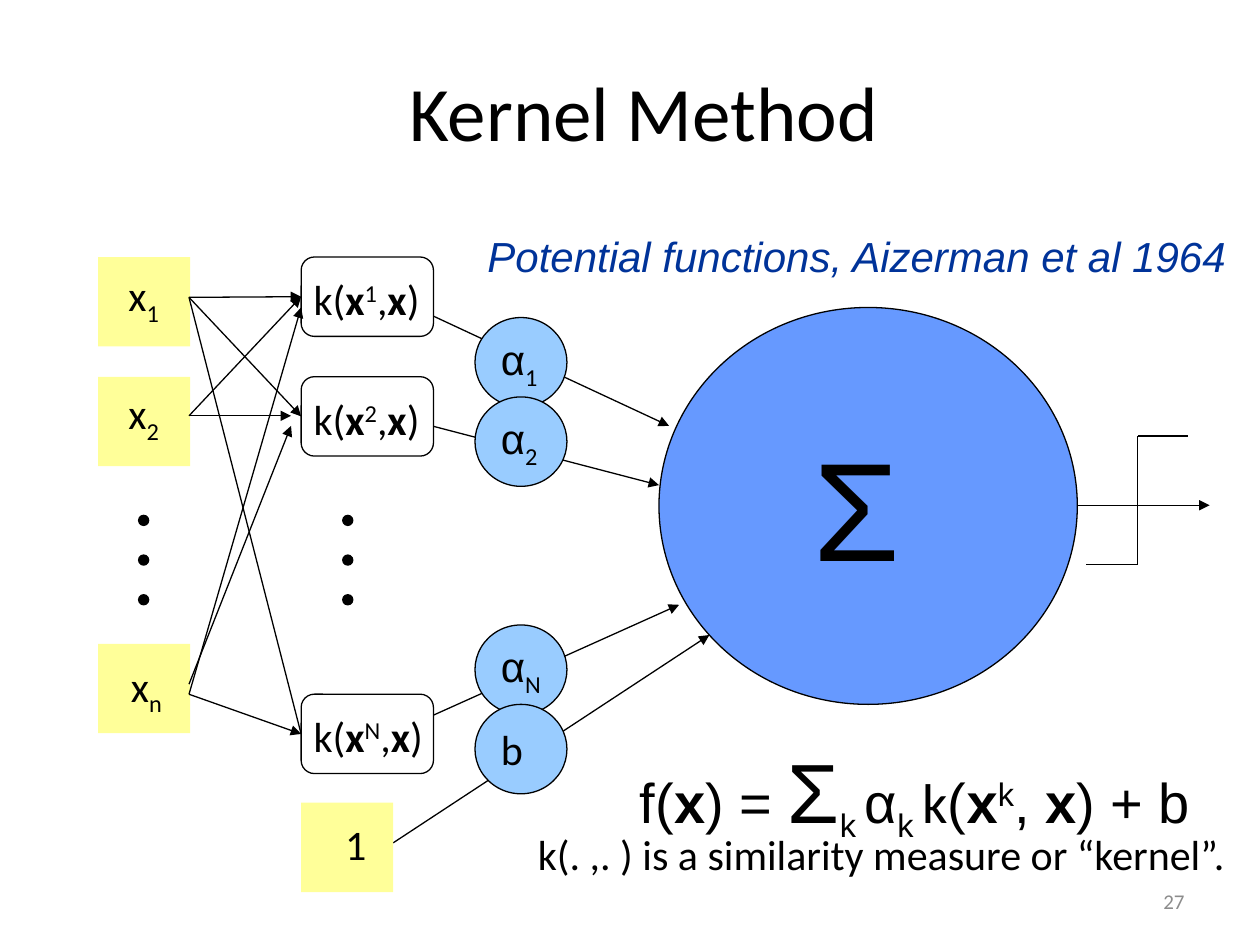
from lxml.etree import SubElement
from pptx import Presentation
from pptx.dml.color import RGBColor
from pptx.enum.shapes import MSO_CONNECTOR, MSO_SHAPE
from pptx.enum.text import MSO_ANCHOR, MSO_AUTO_SIZE, PP_ALIGN
from pptx.oxml.ns import qn
from pptx.util import Inches, Pt

BLACK, YELLOW, WHITE = "000000", "FFFF99", "FFFFFF"
SUM_BLUE, WEIGHT_BLUE, NOTE_BLUE = "6699FF", "99CCFF", "003399"
SUB, SUPER = -25000, 30000


def color(value):
    return RGBColor.from_string(value)


def write(frame, pieces, size, font="Calibri", ink=BLACK, align=PP_ALIGN.LEFT, italic=None):
    """Fill a text frame with (text, options) pieces; options override the paragraph font."""
    para = frame.paragraphs[0]
    para.alignment = align
    para.font.size = Pt(size)
    para.font.name = font
    para.font.italic = italic
    para.font.color.rgb = color(ink)
    for text, options in pieces:
        span = para.add_run()
        span.text = text
        if "bold" in options:
            span.font.bold = options["bold"]
        if "size" in options:
            span.font.size = Pt(options["size"])
        if "font" in options:
            span.font.name = options["font"]
        if "shift" in options:
            span._r.get_or_add_rPr().set("baseline", str(options["shift"]))


def add_text(page, place, pieces, size, wrap=True, grow=True, anchor=MSO_ANCHOR.TOP, **style):
    box = page.shapes.add_textbox(*map(Inches, place))
    frame = box.text_frame
    frame.word_wrap = wrap
    frame.auto_size = MSO_AUTO_SIZE.SHAPE_TO_FIT_TEXT if grow else MSO_AUTO_SIZE.NONE
    frame.vertical_anchor = anchor
    write(frame, pieces, size, **style)


def add_figure(page, kind, place, fill, outlined=True):
    figure = page.shapes.add_shape(kind, *map(Inches, place))
    figure.shadow.inherit = False
    figure.fill.solid()
    figure.fill.fore_color.rgb = color(fill)
    if outlined:
        figure.line.color.rgb = color(BLACK)
        figure.line.width = Pt(0.75)
    else:
        figure.line.fill.background()
    return figure


def add_line(page, start, end, arrow=True, target=None):
    """Draw a line; a target box is joined at the middle of its left side."""
    line = page.shapes.add_connector(MSO_CONNECTOR.STRAIGHT, *map(Inches, (*start, *end)))
    line.line.color.rgb = color(BLACK)
    line.line.width = Pt(0.75)
    if arrow:
        SubElement(line.line._get_or_add_ln(), qn("a:tailEnd"), type="triangle")
    SubElement(line._element.spPr, qn("a:effectLst"))
    if target is not None:
        line.end_connect(target, 1)


def add_input(page, top, index, text_left, text_top):
    add_figure(page, MSO_SHAPE.RECTANGLE, (0.78, top, 0.73, 0.71), YELLOW, outlined=False)
    add_text(page, (text_left, text_top, 0.48, 0.5), [("x", {}), (index, {"shift": SUB})], 24, wrap=False)


def add_kernel(page, top, index, width):
    kernel = add_figure(page, MSO_SHAPE.ROUNDED_RECTANGLE, (2.39, top, 1.05, 0.63), WHITE)
    pieces = [("k(", {}), ("x", {"bold": True}), (index, {"shift": SUPER}),
              (",", {}), ("x", {"bold": True}), (")", {})]
    add_text(page, (2.39, top + 0.08, width, 0.51), pieces, 24, wrap=False)
    return kernel


def add_weight(page, top, pieces):
    weight = add_figure(page, MSO_SHAPE.OVAL, (3.77, top, 0.73, 0.71), WEIGHT_BLUE)
    weight.text_frame.word_wrap = False
    weight.text_frame.vertical_anchor = MSO_ANCHOR.MIDDLE
    write(weight.text_frame, pieces, 24)


def add_dots(page, left):
    for step in range(3):
        add_figure(page, MSO_SHAPE.OVAL, (left, 4.09 + 0.315 * step, 0.08, 0.08), BLACK)


def main():
    deck = Presentation()
    deck.slide_width, deck.slide_height = Inches(10), Inches(7.5)
    page = deck.slides.add_slide(deck.slide_layouts[5])

    # Title and note
    title = page.shapes.title
    title.left, title.top, title.width, title.height = map(Inches, (0.86, 0.25, 8.5, 1.25))
    title.text_frame.vertical_anchor = MSO_ANCHOR.MIDDLE
    write(title.text_frame, [("Kernel Method", {})], 44, align=PP_ALIGN.CENTER)
    add_text(page, (3.77, 1.78, 6.25, 0.5), [("Potential functions, Aizerman et al 1964", {})], 24,
             font="Arial", ink=NOTE_BLUE, italic=True)

    # Arrows into and out of the sum, behind the boxes
    for start, end in [((3.12, 2.36), (5.31, 3.38)), ((3.12, 3.3), (5.23, 3.85)),
                       ((3.12, 5.82), (5.39, 4.8)), ((3.12, 6.69), (5.63, 5.04)),
                       ((8.54, 4.01), (9.6, 4.01))]:
        add_line(page, start, end)

    # Inputs, kernels and the constant
    for top, index, text_left, text_top in [(2.04, "1", 0.92, 2.09), (2.99, "2", 0.92, 3.03),
                                            (5.11, "n", 0.94, 5.19)]:
        add_input(page, top, index, text_left, text_top)
    first, second, last = [add_kernel(page, top, index, width) for top, index, width in
                           [(2.04, "1", 1.06), (2.99, "2", 1.06), (5.51, "N", 1.12)]]
    add_figure(page, MSO_SHAPE.RECTANGLE, (2.39, 6.37, 0.73, 0.71), YELLOW, outlined=False)
    add_text(page, (2.64, 6.45, 0.4, 0.5), [("1", {})], 24)
    for left in (1.1, 2.72):
        add_dots(page, left)

    # Connections from inputs to kernels
    for start, end, arrow, target in [
        (5.51, (2.39, 2.44), True, None), (3.3, (2.39, 2.36), True, first),
        (2.36, (2.39, 2.36), True, first), (2.36, (2.39, 3.3), True, second),
        (3.3, (2.31, 3.3), True, None), (5.43, (2.31, 3.38), True, None),
        (2.36, (2.39, 5.82), False, last), (5.51, (2.39, 5.82), True, last),
    ]:
        add_line(page, (1.5, start), end, arrow, target)

    # Sum and weights
    add_figure(page, MSO_SHAPE.OVAL, (5.23, 2.44, 3.32, 3.15), SUM_BLUE)
    add_text(page, (6.36, 3.3, 1.38, 1.43), [("Σ", {})], 80, font="Arial")
    for top, index in [(2.52, "1"), (3.15, "2"), (4.96, "N")]:
        add_weight(page, top, [("α", {"font": "Arial"}), (index, {"shift": SUB})])
    add_weight(page, 5.59, [("b", {})])

    # Step function
    corners = [(8.62, 4.48), (9.03, 4.48), (9.03, 3.46), (9.43, 3.46)]
    for start, end in zip(corners, corners[1:]):
        add_line(page, start, end, arrow=False)

    # Formula, explanation and page number
    formula = [("f(", {}), ("x", {"bold": True}), (") = ", {}), ("Σ", {"size": 48}),
               ("k ", {"shift": SUB}), ("α", {}), ("k ", {"shift": SUB}), ("k", {"font": "Calibri"}),
               ("(", {}), ("x", {"bold": True}), ("k", {"shift": SUPER}), (", ", {}),
               ("x", {"bold": True}), (") + b", {})]
    add_text(page, (4.98, 5.82, 4.77, 0.91), formula, 32, wrap=False, font="Arial")
    add_text(page, (4.17, 6.53, 5.83, 0.5), [("k(. ,. ) is a similarity measure or “kernel”.", {})], 24)
    add_text(page, (7.17, 6.95, 2.33, 0.4), [("27", {})], 12, grow=False,
             anchor=MSO_ANCHOR.MIDDLE, ink="8C8C8C", align=PP_ALIGN.RIGHT)

    deck.save("out.pptx")


if __name__ == "__main__":
    main()
